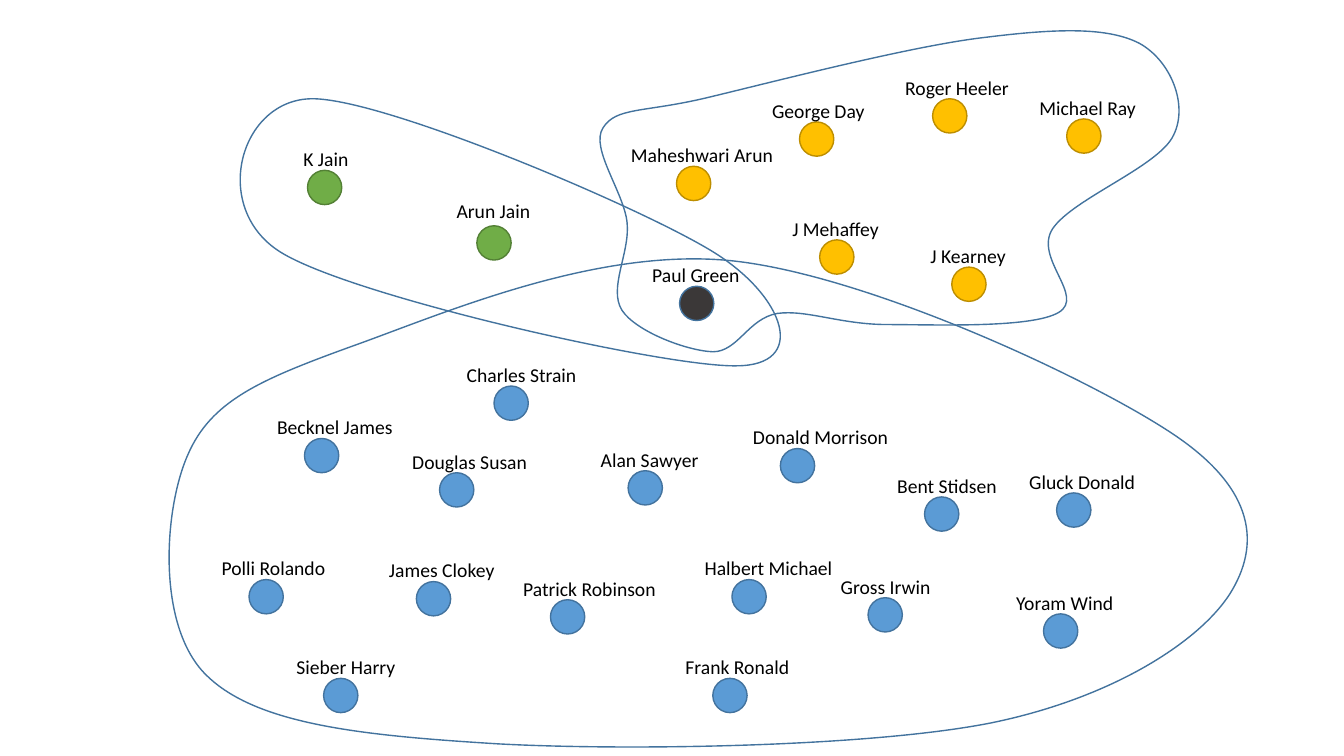
from dataclasses import dataclass

from lxml.etree import SubElement
from pptx import Presentation
from pptx.dml.color import RGBColor
from pptx.enum.shapes import MSO_SHAPE as Preset
from pptx.enum.text import MSO_AUTO_SIZE as AutoSize
from pptx.oxml.ns import qn
from pptx.util import Inches, Pt


@dataclass(frozen=True)
class Theme:
    """Colours, type and line sizes of the slide."""
    font: str = "Calibri"
    label_size: int = 14
    line_width: float = 1
    text: str = "000000"
    outline: str = "43739E"
    blue: tuple = ("5B9BD5", "43739E")
    gold: tuple = ("FFC000", "BD8E00")
    green: tuple = ("70AD47", "538035")
    dark: tuple = ("3B3838", "43739E")


@dataclass(frozen=True)
class Box:
    """A region in inches."""
    left: float
    top: float
    width: float
    height: float


@dataclass(frozen=True)
class Person:
    """A dot's place, and the width and offset of its label."""
    name: str
    left: float
    top: float
    label_width: float
    label_shift: float = 0.37
    label_rise: float = 0.28


THEME = Theme()
DIAGRAM = Box(0, 0, 13.33, 7.5)
DOT_SIZE = LABEL_HEIGHT = 0.34

OUTLINES = [
    (Box(1.68, 2.57, 10.7, 4.84), (3.48, 3.44), [
        (2.57, 3.77, 2.09, 3.98, 1.86, 4.52),
        (1.62, 5.07, 1.55, 6.25, 2.07, 6.72),
        (2.58, 7.2, 3.65, 7.3, 4.94, 7.38),
        (6.24, 7.45, 8.64, 7.41, 9.84, 7.17),
        (11.05, 6.92, 11.9, 6.36, 12.2, 5.89),
        (12.5, 5.41, 12.46, 4.86, 11.64, 4.31),
        (10.82, 3.76, 8.63, 2.74, 7.28, 2.59),
        (5.92, 2.44, 4.38, 3.12, 3.48, 3.44)]),
    (Box(2.38, 0.98, 5.36, 2.66), (7.09, 2.51), [
        (6.39, 2.07, 3.82, 0.98, 3.1, 0.98),
        (2.38, 0.98, 2.08, 2.06, 2.78, 2.5),
        (3.48, 2.94, 6.58, 3.64, 7.3, 3.63),
        (8.02, 3.63, 7.79, 2.95, 7.09, 2.51)]),
    (Box(5.95, 0.31, 5.75, 3.18), (7.01, 0.97), [
        (6.38, 1.12, 6.11, 1.06, 5.98, 1.27),
        (5.85, 1.47, 6.19, 1.91, 6.22, 2.21),
        (6.25, 2.51, 6.03, 2.86, 6.17, 3.08),
        (6.31, 3.29, 6.81, 3.48, 7.07, 3.49),
        (7.32, 3.49, 7.42, 3.16, 7.71, 3.11),
        (8, 3.07, 8.34, 3.22, 8.8, 3.22),
        (9.26, 3.22, 10.23, 3.26, 10.5, 3.1),
        (10.77, 2.94, 10.25, 2.56, 10.44, 2.27),
        (10.64, 1.97, 11.5, 1.65, 11.64, 1.34),
        (11.79, 1.04, 11.61, 0.6, 11.3, 0.43),
        (10.99, 0.27, 10.5, 0.28, 9.78, 0.37),
        (9.06, 0.45, 7.64, 0.82, 7.01, 0.97)]),
]

CLUSTERS = [
    (THEME.dark, [Person("Paul Green", 6.74, 2.84, 1.08)]),
    (THEME.green, [
        Person("K Jain", 3.05, 1.69, 0.65, label_shift=0.14),
        Person("Arun Jain", 4.73, 2.24, 0.94, label_shift=0.3, label_rise=0.32)]),
    (THEME.gold, [
        Person("Maheshwari Arun", 6.71, 1.65, 1.63, label_shift=0.55),
        Person("George Day", 7.93, 1.21, 1.13),
        Person("Roger Heeler", 9.25, 0.98, 1.24),
        Person("Michael Ray", 10.58, 1.18, 1.17),
        Person("J Mehaffey", 8.13, 2.38, 1.07),
        Person("J Kearney", 9.44, 2.65, 0.96, label_shift=0.31)]),
    (THEME.blue, [
        Person("Charles Strain", 4.9, 3.83, 1.3),
        Person("Becknel James", 3.02, 4.35, 1.36),
        Person("Douglas Susan", 4.36, 4.69, 1.35),
        Person("Alan Sawyer", 6.23, 4.67, 1.18),
        Person("Donald Morrison", 7.74, 4.45, 1.56),
        Person("Bent Stidsen", 9.17, 4.93, 1.2),
        Person("Gluck Donald", 10.48, 4.89, 1.26),
        Person("Polli Rolando", 2.47, 5.75, 1.24),
        Person("James Clokey", 4.13, 5.77, 1.26),
        Person("Patrick Robinson", 5.46, 5.95, 1.53),
        Person("Halbert Michael", 7.26, 5.75, 1.48),
        Person("Gross Irwin", 8.61, 5.93, 1.1),
        Person("Yoram Wind", 10.35, 6.09, 1.17),
        Person("Sieber Harry", 3.21, 6.73, 1.19),
        Person("Frank Ronald", 7.07, 6.73, 1.24)]),
]


def style_line(shape, colour):
    """Give a shape a plain line and no shadow."""
    shape.shadow.inherit = False
    shape.line.color.rgb = RGBColor.from_string(colour)
    shape.line.width = Pt(THEME.line_width)


def add_outline(slide, box, start, curves):
    """Draw a closed, unfilled curve that fits the box."""
    width, height = Inches(box.width), Inches(box.height)
    builder = slide.shapes.build_freeform(0, 0)
    builder.add_line_segments([(width, 0), (width, height), (0, height)])
    shape = builder.convert_to_shape(Inches(box.left), Inches(box.top))
    path = next(shape.element.iter(qn("a:path")))
    for child in list(path):
        path.remove(child)
    steps = [("a:moveTo", start)] + [("a:cubicBezTo", curve) for curve in curves]
    for tag, numbers in steps:
        step = SubElement(path, qn(tag))
        for x, y in zip(numbers[::2], numbers[1::2]):
            SubElement(step, qn("a:pt"), x=str(Inches(x - box.left)),
                       y=str(Inches(y - box.top)))
    SubElement(path, qn("a:close"))
    shape.fill.background()
    style_line(shape, THEME.outline)


def add_person(slide, box, person, colours):
    """Group a dot with the name above it."""
    group = slide.shapes.add_group_shape()
    left, top = box.left + person.left, box.top + person.top
    fill, line = colours
    dot = group.shapes.add_shape(Preset.OVAL, Inches(left), Inches(top),
                                 Inches(DOT_SIZE), Inches(DOT_SIZE))
    dot.fill.solid()
    dot.fill.fore_color.rgb = RGBColor.from_string(fill)
    style_line(dot, line)
    label = group.shapes.add_textbox(
        Inches(left - person.label_shift), Inches(top - person.label_rise),
        Inches(person.label_width), Inches(LABEL_HEIGHT))
    frame = label.text_frame
    frame.word_wrap = False
    frame.auto_size = AutoSize.SHAPE_TO_FIT_TEXT
    paragraph = frame.paragraphs[0]
    paragraph.text = person.name
    paragraph.font.name = THEME.font
    paragraph.font.size = Pt(THEME.label_size)
    paragraph.font.color.rgb = RGBColor.from_string(THEME.text)


def add_cluster(slide, box, colours, people):
    """Place the people of one colour within the box."""
    for person in people:
        add_person(slide, box, person, colours)


def main():
    """Build the slide of overlapping author clusters."""
    presentation = Presentation()
    presentation.slide_width = Inches(DIAGRAM.width)
    presentation.slide_height = Inches(DIAGRAM.height)
    slide = presentation.slides.add_slide(presentation.slide_layouts[6])
    for box, start, curves in OUTLINES:
        add_outline(slide, box, start, curves)
    for colours, people in CLUSTERS:
        add_cluster(slide, DIAGRAM, colours, people)
    presentation.save("out.pptx")


main()
